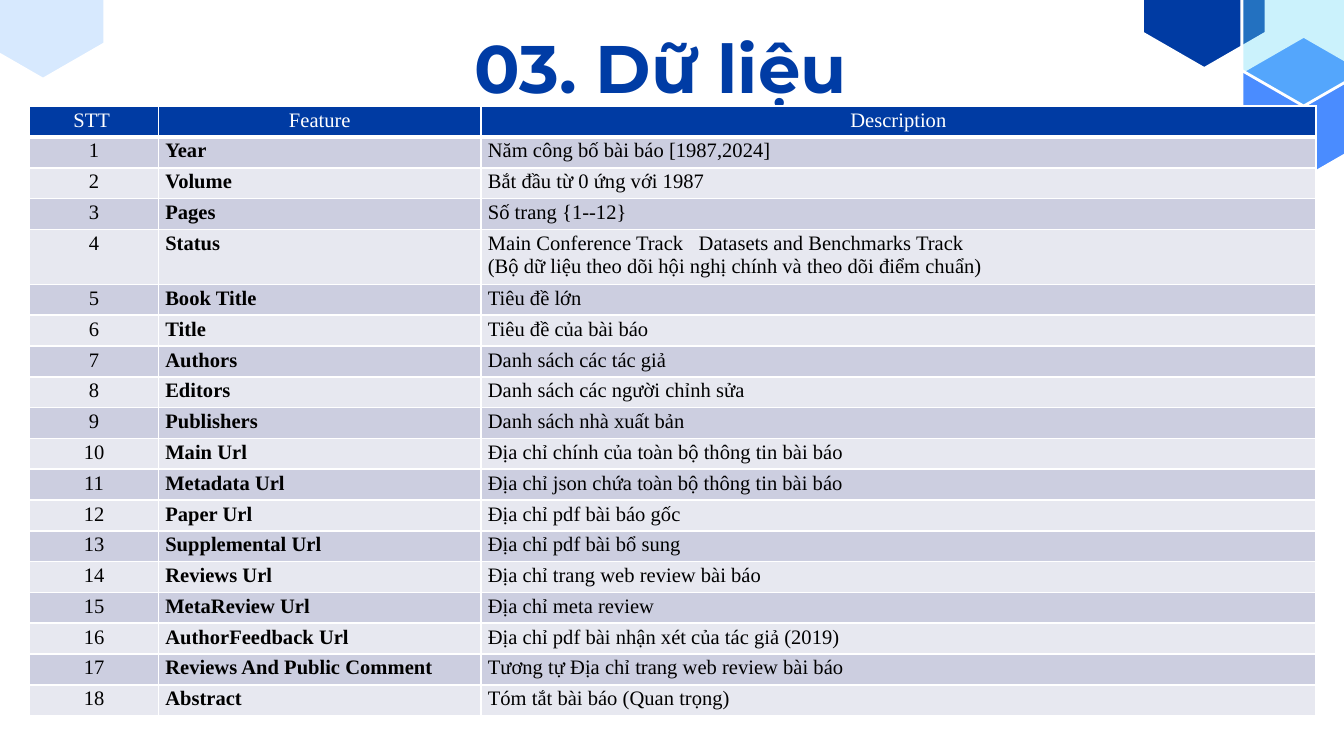
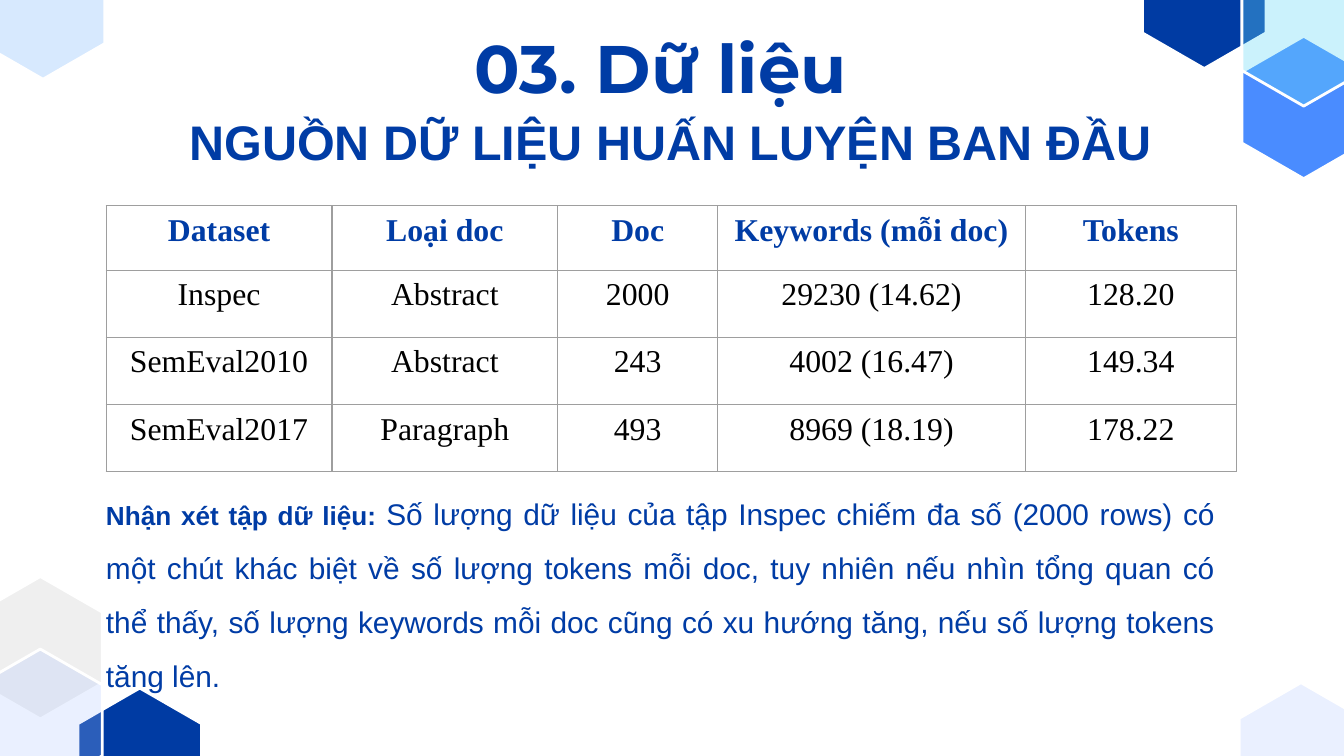
from dataclasses import dataclass

from lxml.etree import SubElement
from pptx import Presentation
from pptx.dml.color import RGBColor
from pptx.enum.text import MSO_ANCHOR, MSO_AUTO_SIZE, PP_ALIGN
from pptx.oxml import parse_xml
from pptx.oxml.ns import nsdecls, qn
from pptx.util import Inches, Pt


@dataclass(frozen=True)
class Theme:
    # Colours
    blue: str = "003CA5"
    navy: str = "003BA3"
    bright: str = "4A8CFF"
    cyan: str = "68DAF8"
    sky: str = "9FCBFD"
    lavender: str = "AFC7FF"
    pale_grey: str = "EFEFEF"
    white: str = "FFFFFF"
    black: str = "000000"
    band_dark: str = "CCCEE0"
    band_light: str = "E7E8F0"
    grid: str = "9E9E9E"
    # Fonts and type sizes
    title_font: str = "Montserrat"
    body_font: str = "Arial"
    table_font: str = "Times New Roman"
    title_size: int = 36
    subtitle_size: int = 26
    dataset_size: int = 17
    remark_size: int = 16
    remark_label_size: int = 14
    feature_size: int = 11


THEME = Theme()
SLIDE_WIDTH = 10
SLIDE_HEIGHT = SLIDE_WIDTH * 9 / 16
HEX_WIDTH, HEX_HEIGHT = 0.92, 1.06

# Hexagons: left, top, colour, opacity in percent
TOP_HEXAGONS = [
    (-0.14, -0.47, THEME.sky, 41),
    (8.5, -0.55, THEME.navy, 100),
    (9.24, 0.27, THEME.bright, 100),
    (9.24, -0.27, THEME.cyan, 34),
]
BOTTOM_HEXAGONS = [
    (0.58, 5.12, THEME.navy, 100),
    (-0.16, 4.29, THEME.pale_grey, 100),
    (-0.16, 4.83, THEME.lavender, 25),
    (9.22, 5.08, THEME.lavender, 25),
]

FEATURES = [
    ("Year", "Năm công bố bài báo [1987,2024]"),
    ("Volume", "Bắt đầu từ 0 ứng với 1987"),
    ("Pages", "Số trang {1--12}"),
    ("Status", "Main Conference Track   Datasets and Benchmarks Track\n"
               "(Bộ dữ liệu theo dõi hội nghị chính và theo dõi điểm chuẩn)"),
    ("Book Title", "Tiêu đề lớn"),
    ("Title", "Tiêu đề của bài báo"),
    ("Authors", "Danh sách các tác giả"),
    ("Editors", "Danh sách các người chỉnh sửa"),
    ("Publishers", "Danh sách nhà xuất bản"),
    ("Main Url", "Địa chỉ chính của toàn bộ thông tin bài báo"),
    ("Metadata Url", "Địa chỉ json chứa toàn bộ thông tin bài báo"),
    ("Paper Url", "Địa chỉ pdf bài báo gốc"),
    ("Supplemental Url", "Địa chỉ pdf bài bổ sung"),
    ("Reviews Url", "Địa chỉ trang web review bài báo"),
    ("MetaReview Url", "Địa chỉ meta review"),
    ("AuthorFeedback Url", "Địa chỉ pdf bài nhận xét của tác giả (2019)"),
    ("Reviews And Public Comment", "Tương tự Địa chỉ trang web review bài báo"),
    ("Abstract", "Tóm tắt bài báo (Quan trọng)"),
]

DATASETS = [
    ("Dataset", "Loại doc", "Doc", "Keywords (mỗi doc)", "Tokens"),
    ("Inspec", "Abstract", "2000", "29230 (14.62)", "128.20"),
    ("SemEval2010", "Abstract", "243", "4002 (16.47)", "149.34"),
    ("SemEval2017", "Paragraph", "493", "8969 (18.19)", "178.22"),
]

REMARK_LABEL = "Nhận xét tập dữ liệu: "
REMARK = (
    "Số lượng dữ liệu của tập Inspec chiếm đa số (2000 rows) có một chút khác "
    "biệt về số lượng tokens mỗi doc, tuy nhiên nếu nhìn tổng quan có thể thấy, "
    "số lượng keywords mỗi doc cũng có xu hướng tăng, nếu số lượng tokens tăng lên."
)


def rgb(value):
    return RGBColor.from_string(value)


def write(frame, text, *, font, size, color, bold=False, align=PP_ALIGN.LEFT,
          spacing=None, before=0, after=0, label=None, label_size=None):
    """Fill a text frame, one paragraph a line, after an optional bold label."""
    for index, line in enumerate(text.split("\n")):
        paragraph = frame.add_paragraph() if index else frame.paragraphs[0]
        paragraph.alignment = align
        paragraph.space_before, paragraph.space_after = Pt(before), Pt(after)
        if spacing:
            paragraph.line_spacing = spacing
        runs = [(line, size, bold)]
        if label and index == 0:
            runs.insert(0, (label, label_size, True))
        for words, points, is_bold in runs:
            run = paragraph.add_run()
            run.text = words
            run.font.name, run.font.size = font, Pt(points)
            run.font.bold = is_bold
            run.font.color.rgb = rgb(color)


class Deck:
    def __init__(self, theme):
        self.theme = theme
        self.prs = Presentation()
        self.prs.slide_width = Inches(SLIDE_WIDTH)
        self.prs.slide_height = Inches(SLIDE_HEIGHT)
        self.slide = None

    def new_slide(self, title, hexagons):
        self.slide = self.prs.slides.add_slide(self.prs.slide_layouts[5])
        for hexagon in hexagons:
            self.hexagon(*hexagon)
        self.title(title)

    def title(self, text):
        heading = self.slide.shapes.title
        heading.left, heading.top = Inches(0.69), Inches(0)
        heading.width, heading.height = Inches(8.45), Inches(0.66)
        frame = heading.text_frame
        frame.auto_size, frame.word_wrap = MSO_AUTO_SIZE.NONE, True
        frame.vertical_anchor = MSO_ANCHOR.MIDDLE
        frame.margin_left = frame.margin_right = Inches(0.1)
        frame.margin_top = frame.margin_bottom = Inches(0.1)
        write(frame, text, font=self.theme.title_font, size=self.theme.title_size,
              color=self.theme.blue, bold=True, align=PP_ALIGN.CENTER,
              spacing=Pt(67.2), before=6, after=6)

    def hexagon(self, left, top, color, opacity):
        middle, right = left + HEX_WIDTH / 2, left + HEX_WIDTH
        upper, lower = top + HEX_HEIGHT / 4, top + HEX_HEIGHT * 3 / 4
        corners = [(right, upper), (right, lower), (middle, top + HEX_HEIGHT),
                   (left, lower), (left, upper)]
        builder = self.slide.shapes.build_freeform(Inches(middle), Inches(top))
        builder.add_line_segments([(Inches(x), Inches(y)) for x, y in corners])
        outline = builder.convert_to_shape()
        outline.shadow.inherit = False
        outline.fill.solid()
        outline.fill.fore_color.rgb = rgb(color)
        if opacity < 100:
            fill_color = next(outline.element.iter(qn("a:srgbClr")))
            SubElement(fill_color, qn("a:alpha"), val=str(opacity * 1000))
        outline.line.color.rgb = rgb(self.theme.white)
        outline.line.width = Pt(1.5)

    def text(self, left, top, width, height, text, **style):
        box = self.slide.shapes.add_textbox(
            Inches(left), Inches(top), Inches(width), Inches(height))
        box.text_frame.word_wrap = True
        box.text_frame.auto_size = MSO_AUTO_SIZE.SHAPE_TO_FIT_TEXT
        write(box.text_frame, text, **style)

    def table(self, left, top, widths, heights, rows, margins, cell_style):
        """cell_style(row, column) gives fill, border colour, widths, text format."""
        table = self.slide.shapes.add_table(
            len(rows), len(widths), Inches(left), Inches(top),
            Inches(sum(widths)), Inches(sum(heights))).table
        table.horz_banding = False
        for column, width in zip(table.columns, widths):
            column.width = Inches(width)
        for row, height in zip(table.rows, heights):
            row.height = Inches(height)
        for r, values in enumerate(rows):
            for c, value in enumerate(values):
                cell = table.cell(r, c)
                fill, border, line_widths, style = cell_style(r, c)
                cell.margin_left = cell.margin_right = Inches(margins[0])
                cell.margin_top = cell.margin_bottom = Inches(margins[1])
                if fill:
                    cell.fill.solid()
                    cell.fill.fore_color.rgb = rgb(fill)
                else:
                    cell.fill.background()
                self.borders(cell, border, line_widths)
                write(cell.text_frame, value, font=self.theme.table_font, **style)

    @staticmethod
    def borders(cell, color, widths):
        properties = cell._tc.get_or_add_tcPr()
        for index, (side, width) in enumerate(zip("LRTB", widths)):
            properties.insert(index, parse_xml(
                f'<a:ln{side} {nsdecls("a")} w="{Pt(width)}"><a:solidFill>'
                f'<a:srgbClr val="{color}"/></a:solidFill></a:ln{side}>'))


def feature_cell(row, column):
    header = row == 0
    if header:
        fill = THEME.navy
    else:
        fill = THEME.band_dark if row % 2 else THEME.band_light
    style = dict(size=THEME.feature_size,
                 color=THEME.white if header else THEME.black,
                 bold=not header and column == 1,
                 align=PP_ALIGN.CENTER if header or column == 0 else PP_ALIGN.LEFT)
    return fill, THEME.white, (1, 1, 1, 3 if header else 1), style


def dataset_cell(row, column):
    header = row == 0
    style = dict(size=THEME.dataset_size, bold=header,
                 color=THEME.blue if header else THEME.black,
                 align=PP_ALIGN.CENTER, spacing=1.2)
    return None, THEME.grid, (0.75,) * 4, style


def main():
    deck = Deck(THEME)
    section = "03. Dữ liệu"

    # Slide 1: features of the data
    deck.new_slide(section, TOP_HEXAGONS)
    feature_rows = [("STT ", "Feature", "Description")]
    feature_rows += [(str(n), *feature) for n, feature in enumerate(FEATURES, 1)]
    two_line_height = 0.41
    one_line_height = (4.54 - two_line_height) / len(FEATURES)
    feature_heights = [two_line_height if "\n" in row[2] else one_line_height
                       for row in feature_rows]
    deck.table(0.22, 0.79, [0.96, 2.4, 6.21], feature_heights, feature_rows,
               (0.05, 0.02), feature_cell)

    # Slide 2: training datasets and remark
    deck.new_slide(section, BOTTOM_HEXAGONS + TOP_HEXAGONS)
    deck.table(0.79, 1.53, [1.68, 1.68, 1.19, 2.29, 1.57], [0.48, 0.5, 0.5, 0.5],
               DATASETS, (0.1, 0), dataset_cell)
    deck.text(0.69, 3.51, 8.45, 1.67, REMARK, font=THEME.body_font,
              size=THEME.remark_size, color=THEME.blue, align=PP_ALIGN.JUSTIFY,
              spacing=1.5, label=REMARK_LABEL, label_size=THEME.remark_label_size)
    deck.text(0.79, 0.57, 8.41, 0.68, "NGUỒN DỮ LIỆU HUẤN LUYỆN BAN ĐẦU",
              font=THEME.body_font, size=THEME.subtitle_size, color=THEME.blue,
              bold=True, align=PP_ALIGN.CENTER, spacing=1.5)

    deck.prs.save("out.pptx")


if __name__ == "__main__":
    main()
